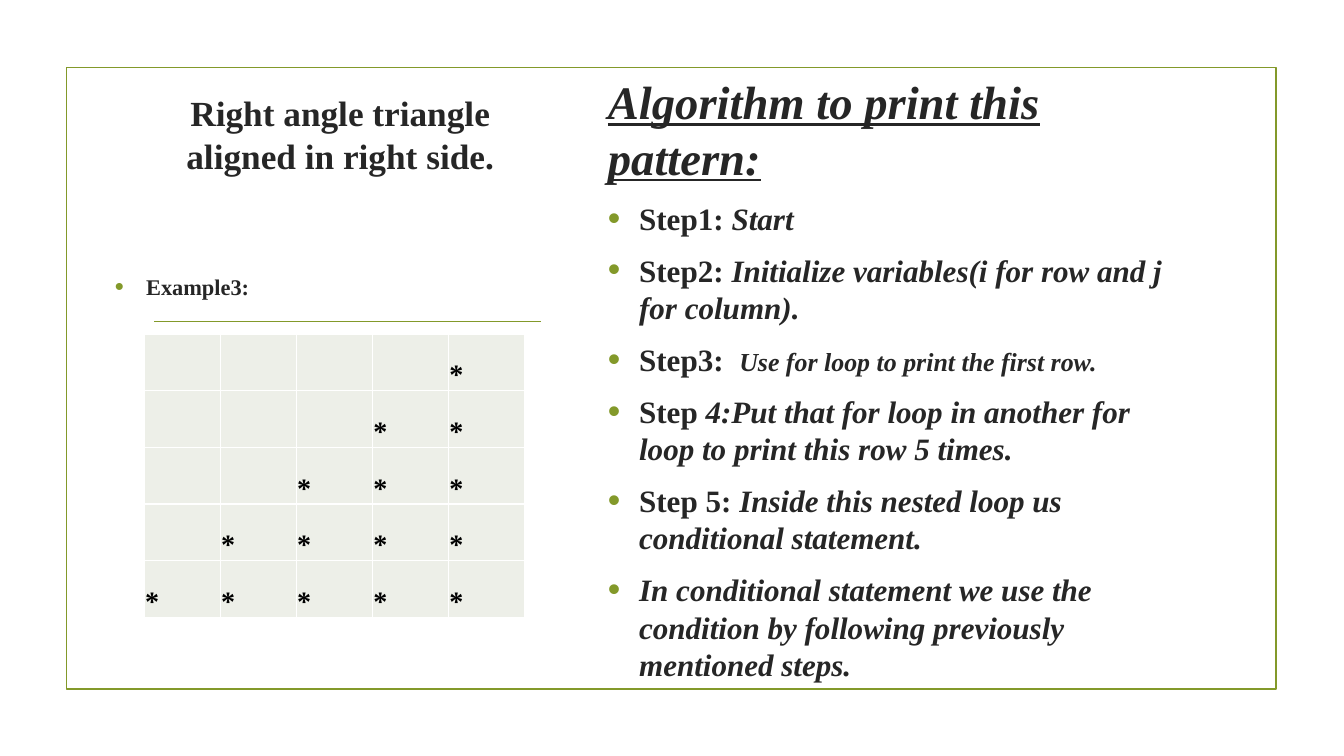
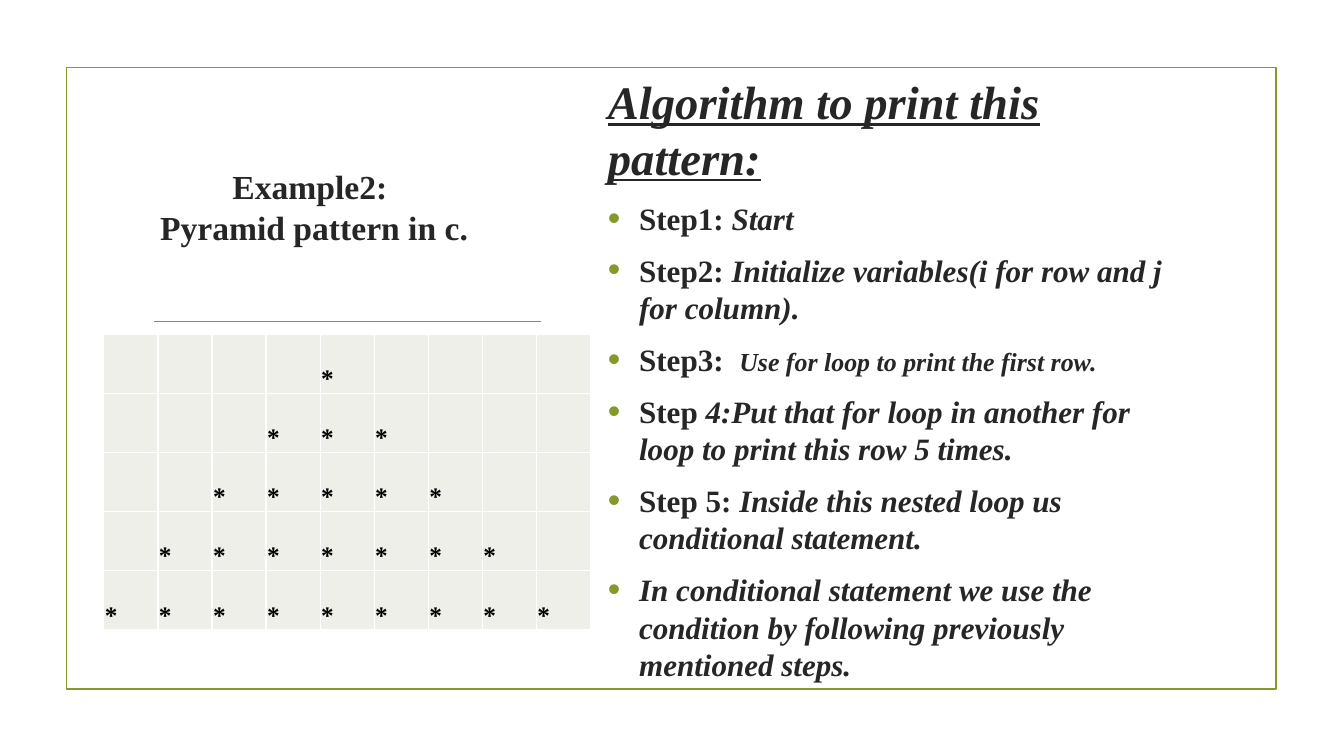
from lxml import etree
from pptx import Presentation
from pptx import util as u
from pptx.dml.color import RGBColor
from pptx.enum import shapes, text
from pptx.oxml import ns

WIDTH, HEIGHT = u.Inches(13.33), u.Inches(7.5)
FONT = "Times New Roman"
GREEN, INK, BLACK, WHITE, PALE = "83992A", "262626", "000000", "FFFFFF", "EDEFE8"
ROWS = 5
TABLE_TOP = 44.2
STEPS = [
    [("Step1: ", False, 22.2), ("Start", True, 22.2)],
    [("Step2: ", False, 22.2),
     ("Initialize variables(i for row and j for column).", True, 22.2)],
    [("Step3:  ", False, 22.2),
     ("Use for loop to print the first row.", True, 18.5)],
    [("Step ", False, 22.2),
     ("4:Put that for loop in another for loop to print this row 5 times.", True, 22.2)],
    [("Step 5: ", False, 22.2),
     ("Inside this nested loop us conditional statement.", True, 22.2)],
    [("In conditional statement we use the condition by following "
      "previously mentioned steps.", True, 22.2)],
]


def color(value):
    """Turn a hex string into a colour."""
    return RGBColor.from_string(value)


def area(left, top, width, height):
    """Turn percentages of the slide into left, top, width and height."""
    return (int(WIDTH * left / 100), int(HEIGHT * top / 100),
            int(WIDTH * width / 100), int(HEIGHT * height / 100))


def sub(parent, tag, **attrs):
    """Append a DrawingML element."""
    return etree.SubElement(parent, ns.qn(f"a:{tag}"), attrs)


def add_run(p, words, size, italic=False, underline=False, ink=INK):
    """Add a bold run to a paragraph."""
    r = p.add_run()
    r.text = words
    f = r.font
    f.name, f.size, f.bold = FONT, u.Pt(size), True
    f.italic, f.underline = italic, underline
    f.color.rgb = color(ink)


def format_paragraph(p, size, bullet=True):
    """Set the spacing, indent and bullet of a list paragraph."""
    p.space_before, p.space_after = u.Pt(size * 0.2), u.Pt(6)
    pPr = p._p.get_or_add_pPr()
    indent = u.Inches(0.31) if bullet else 0
    pPr.set("marL", str(indent))
    pPr.set("indent", str(-indent))
    if bullet:
        sub(sub(pPr, "buClr"), "srgbClr", val=GREEN)
        sub(pPr, "buSzPct", val="115000")
        sub(pPr, "buFont", typeface="Arial")
        sub(pPr, "buChar", char="•")
    else:
        sub(pPr, "buNone")


def place(sp, box, anchor):
    """Position a placeholder and return its text frame."""
    sp.left, sp.top, sp.width, sp.height = area(*box)
    tf = sp.text_frame
    tf.word_wrap, tf.auto_size = True, text.MSO_AUTO_SIZE.NONE
    tf.vertical_anchor = anchor
    return tf


def add_frame(s):
    """Draw the outline and the rule under the title."""
    sp = s.shapes.add_shape(shapes.MSO_SHAPE.RECTANGLE, *area(4.95, 8.93, 90, 82.27))
    sp.shadow.inherit = False
    sp.fill.background()
    x, y, width, _ = area(11.48, 42.53, 28.8, 0)
    rule = s.shapes.add_connector(shapes.MSO_CONNECTOR.STRAIGHT, x, y, x + width, y)
    for item in (sp, rule):
        item.line.color.rgb = color(GREEN)
        item.line.width = u.Pt(1.25)
    sub(rule._element.spPr, "effectLst")


def add_title(s, lines, box, size):
    """Fill the title, one line break between lines."""
    p = place(s.shapes.title, box, text.MSO_ANCHOR.BOTTOM).paragraphs[0]
    p.alignment = text.PP_ALIGN.CENTER
    for i, line in enumerate(lines):
        if i:
            p.add_line_break()
        add_run(p, line, size)


def add_label(s, words):
    """Fill the left list, or remove it when there are no words."""
    sp = s.placeholders[1]
    if not words:
        sp._element.getparent().remove(sp._element)
        return
    p = place(sp, (7.8, 35.47, 33.38, 50.27), text.MSO_ANCHOR.TOP).paragraphs[0]
    format_paragraph(p, 16)
    add_run(p, words, 16)


def add_algorithm(s):
    """Fill the right list with the heading and the steps."""
    tf = place(s.placeholders[2], (44.48, 14.27, 44.85, 71.33), text.MSO_ANCHOR.MIDDLE)
    p = tf.paragraphs[0]
    format_paragraph(p, 33.3, bullet=False)
    add_run(p, "Algorithm to print this pattern:", 33.3, italic=True, underline=True)
    for step in STEPS:
        p = tf.add_paragraph()
        format_paragraph(p, 22.2)
        for words, italic, size in step:
            add_run(p, words, size, italic)


def format_cell(cell):
    """Set the fill, margins and borders of a cell."""
    cell.fill.solid()
    cell.fill.fore_color.rgb = color(PALE)
    cell.vertical_anchor = text.MSO_ANCHOR.BOTTOM
    cell.margin_left = cell.margin_right = cell.margin_top = u.Inches(0.01)
    cell.margin_bottom = 0
    tcPr = cell._tc.get_or_add_tcPr()
    for i, side in enumerate(("lnL", "lnR", "lnT", "lnB")):
        ln = sub(tcPr, side, w=str(u.Pt(1)))
        sub(sub(ln, "solidFill"), "srgbClr", val=WHITE)
        tcPr.insert(i, ln)


def add_pattern(s, columns, box, size, has_star):
    """Add a table with a star wherever the rule holds."""
    table = s.shapes.add_table(ROWS, columns, *area(*box)).table
    table.first_row = table.horz_banding = False
    for row in range(ROWS):
        for column in range(columns):
            cell = table.cell(row, column)
            format_cell(cell)
            if has_star(row, column):
                add_run(cell.text_frame.paragraphs[0], "*", size, ink=BLACK)


def add_slide(prs, title, title_box, title_size, label=None):
    """Add a slide with everything but its pattern."""
    s = prs.slides.add_slide(prs.slide_layouts[3])
    add_frame(s)
    add_title(s, title, title_box, title_size)
    add_label(s, label)
    add_algorithm(s)
    return s


def main():
    """Build and save the slides."""
    prs = Presentation()
    prs.slide_width, prs.slide_height = WIDTH, HEIGHT
    s = add_slide(prs, ["Right angle triangle aligned in right side."],
                  (10.13, 11.2, 30.38, 12.8), 25.2, "Example3:")
    add_pattern(s, 5, (10.73, TABLE_TOP, 28.28, 37.47), 20,
                lambda row, column: row + column >= ROWS - 1)
    s = add_slide(prs, ["Example2: ", "Pyramid pattern in c."],
                  (6.53, 14.27, 33.68, 19.07), 24)
    add_pattern(s, 9, (7.73, TABLE_TOP, 36.23, 39.07), 18,
                lambda row, column: abs(column - ROWS + 1) <= row)
    prs.save("out.pptx")


if __name__ == "__main__":
    main()
